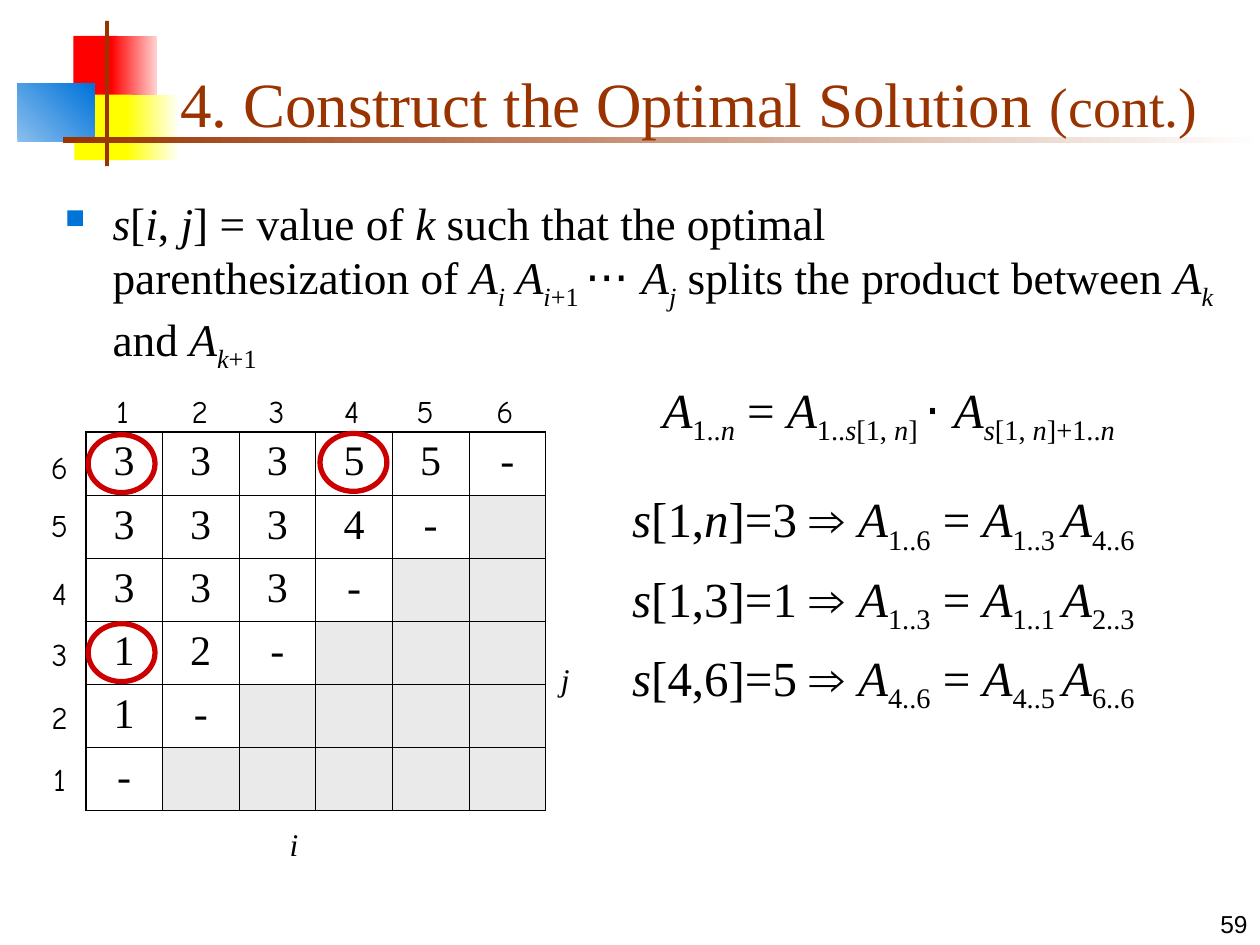
import pptx
import pptx.util
import pptx.dml.color
import pptx.enum.shapes
import pptx.enum.text
import pptx.oxml
import pptx.oxml.ns
import lxml.etree

Pt = pptx.util.Pt
ALIGN = pptx.enum.text.PP_ALIGN
ANCHOR = pptx.enum.text.MSO_ANCHOR
SHAPE = pptx.enum.shapes.MSO_SHAPE
SERIF, SANS, HAND = "Times New Roman", "Arial", "Comic Neue"
BLACK, BROWN = "000000", "993300"
qn = pptx.oxml.ns.qn

BODY = [("s", "i"), ("[", ""), ("i", "i"), (",", ""), (" j", "i"), ("] = value of ", ""),
        ("k", "i"), (" such that the optimal", ""), ("\n", ""), ("parenthesization of ", ""),
        ("A", "i"), ("i", "is"), (" A", "i"), ("i", "is"), ("+1 ", "s"), ("⋅⋅⋅ ", "a"),
        ("A", "i"), ("j", "is"), (" splits the product between ", ""), ("A", "i"), ("k", "is"),
        (" and ", ""), ("A", "i"), ("k", "is"), ("+1", "s")]
RULE = [("A", "i"), ("1..", "s"), ("n", "is"), (" = ", ""), ("A", "i"), ("1..", "s"),
        ("s", "is"), ("[1, ", "s"), ("n", "is"), ("] ", "s"), ("⋅ ", "a"), ("A", "i"),
        ("s", "is"), ("[1, ", "s"), ("n", "is"), ("]+1..", "s"), ("n", "is")]
STEPS = [([("[1,", ""), ("n", "i"), ("]=3 ", "")], "1..6", "1..3 ", "4..6"),
         ([("[1,3]=1 ", "")], "1..3", "1..1 ", "2..3"),
         ([("[4,6]=5 ", "")], "4..6", "4..5 ", "6..6")]
SPLITS = ["33355-", "3334-", "333-", "12-", "1-", "-"]


def color(code):
    """Turn a hex string into a colour."""
    return pptx.dml.color.RGBColor.from_string(code)


def add_runs(para, runs, size, font=SERIF, ink=BLACK):
    """Add runs whose marks are i (italic), s (subscript) and a (Arial)."""
    for text, marks in runs:
        if text == "\n":
            para.add_line_break()
            continue
        run = para.add_run()
        run.text = text
        run.font.size = Pt(size)
        run.font.name = SANS if "a" in marks else font
        run.font.italic = "i" in marks
        run.font.color.rgb = color(ink)
        if "s" in marks:
            run.font._element.set("baseline", "-25000")


def add_box(slide, left, top, width, height, anchor=ANCHOR.TOP):
    """Add a wrapping text box and return its text frame."""
    frame = slide.shapes.add_textbox(Pt(left), Pt(top), Pt(width), Pt(height)).text_frame
    frame.word_wrap = True
    frame.vertical_anchor = anchor
    return frame


def add_label(slide, text, left, top, font=HAND, marks=""):
    """Add one centred label of the table's axes."""
    para = add_box(slide, left, top, 24, 29).paragraphs[0]
    para.alignment = ALIGN.CENTER
    add_runs(para, [(text, marks)], 18, font)


def set_indent(para, left, first):
    """Set the left margin and first line indent."""
    props = para._p.get_or_add_pPr()
    props.set("marL", str(int(Pt(left))))
    props.set("indent", str(int(Pt(first))))
    para.space_before = Pt(7)
    return props


def add_bullet(props):
    """Give a paragraph a blue square bullet."""
    tint = lxml.etree.SubElement(props, qn("a:buClr"))
    lxml.etree.SubElement(tint, qn("a:srgbClr"), val="0073D9")
    lxml.etree.SubElement(props, qn("a:buSzPct"), val="60000")
    lxml.etree.SubElement(props, qn("a:buChar"), char="■")


def add_block(slide, left, top, width, height, start, end=None, angle=0):
    """Add a rectangle with a solid or gradient fill."""
    block = slide.shapes.add_shape(SHAPE.RECTANGLE, Pt(left), Pt(top), Pt(width), Pt(height))
    block.shadow.inherit = False
    block.line.fill.background()
    if end is None:
        block.fill.solid()
        block.fill.fore_color.rgb = color(start)
        return
    block.fill.gradient()
    block.fill.gradient_angle = angle
    for stop, code in zip(block.fill.gradient_stops, (start, end)):
        stop.color.rgb = color(code)


def add_ring(slide, left, top):
    """Add a red ring around a table value."""
    ring = slide.shapes.add_shape(SHAPE.OVAL, Pt(left), Pt(top), Pt(38.2), Pt(33.1))
    ring.shadow.inherit = False
    ring.fill.background()
    ring.line.color.rgb = color("CC0000")
    ring.line.width = Pt(3)


def set_edge(cell, side, width):
    """Draw one black border of a cell."""
    edge = lxml.etree.SubElement(cell._tc.get_or_add_tcPr(), qn("a:" + side), w=str(int(Pt(width))))
    fill = lxml.etree.SubElement(edge, qn("a:solidFill"))
    lxml.etree.SubElement(fill, qn("a:srgbClr"), val=BLACK)


def add_grid(slide):
    """Add the triangular table of split values."""
    count = len(SPLITS)
    grid = slide.shapes.add_table(count, count, Pt(49), Pt(247), Pt(262.8), Pt(216)).table
    grid.first_row = grid.horz_banding = False
    for row, values in enumerate(SPLITS):
        for col in range(count):
            cell = grid.cell(row, col)
            outer = {"lnL": col == 0, "lnR": col == count - 1,
                     "lnT": row == 0, "lnB": row == count - 1}
            for side, thick in outer.items():
                set_edge(cell, side, 1.08 if thick else 0.45)
            if col < len(values):
                cell.fill.background()
                para = cell.text_frame.paragraphs[0]
                para.alignment = ALIGN.CENTER
                add_runs(para, [(values[col], "")], 24)
            else:
                cell.fill.solid()
                cell.fill.fore_color.rgb = color("EAEAEA")


def add_steps(slide):
    """Add the three worked splits."""
    frame = add_box(slide, 354.2, 275.8, 345.6, 170.6)
    for place, (index, whole, left, right) in enumerate(STEPS):
        para = frame.add_paragraph() if place else frame.paragraphs[0]
        set_indent(para, 27, -27)
        add_runs(para, [("s", "i"), *index, ("⇒ ", "a"), ("A", "i"), (whole, "s"), (" = ", ""),
                        ("A", "i"), (left, "s"), ("A", "i"), (right, "s")], 28)


def add_decor(slide):
    """Add the coloured blocks and bars behind the title."""
    add_block(slide, 42, 20.5, 25, 37.5, "FF0000")
    add_block(slide, 63.5, 20.5, 26, 37.5, "FF0000", "FFD1D1")
    add_block(slide, 42.5, 54, 33, 37.5, "FFFF00")
    add_block(slide, 72, 54, 29, 37.5, "FFFF00", "FFFFF0")
    add_block(slide, 10, 48, 44, 33, "8BBFEE", "0073D9", 45)
    add_block(slide, 60, 12, 2.3, 83, BROWN)
    add_block(slide, 36, 78, 684, 3.6, BROWN, "FFFFFF")


def main():
    """Build the slide and save it."""
    deck = pptx.Presentation()
    deck.slide_width, deck.slide_height = Pt(720), Pt(540)
    slide = deck.slides.add_slide(deck.slide_layouts[6])
    add_decor(slide)

    para = add_box(slide, 570, 504, 150, 36, ANCHOR.BOTTOM).paragraphs[0]
    para.alignment = ALIGN.RIGHT
    add_runs(para, [("59", "")], 14, SANS)

    para = add_box(slide, 95.8, 18, 613.4, 66.2, ANCHOR.BOTTOM).paragraphs[0]
    for text, size in (("4. Construct the Optimal Solution", 36), (" ", 40), ("(cont.)", 32)):
        add_runs(para, [(text, "")], size, ink=BROWN)

    para = add_box(slide, 30.2, 108, 675.4, 110.9).paragraphs[0]
    add_bullet(set_indent(para, 27, -27))
    add_runs(para, BODY, 25.9)

    add_grid(slide)
    for digit, left in zip("123456", (58, 102.2, 146, 189, 231, 276.5)):
        add_label(slide, digit, left, 220.3)
    for digit, top in zip("654321", (252.7, 285.8, 324.7, 359.3, 395.3, 430.6)):
        add_label(slide, digit, 22, top)
    add_label(slide, "i", 156, 468, SERIF, "i")
    add_label(slide, "j", 311, 373.7, SERIF, "i")

    add_steps(slide)
    for left, top in ((50.4, 248.4), (50.4, 356.4), (182.9, 247.7)):
        add_ring(slide, left, top)

    para = add_box(slide, 335.5, 213.1, 318.2, 45.4).paragraphs[0]
    set_indent(para, 36, 0)
    add_runs(para, RULE, 28)
    deck.save("out.pptx")


if __name__ == "__main__":
    main()
